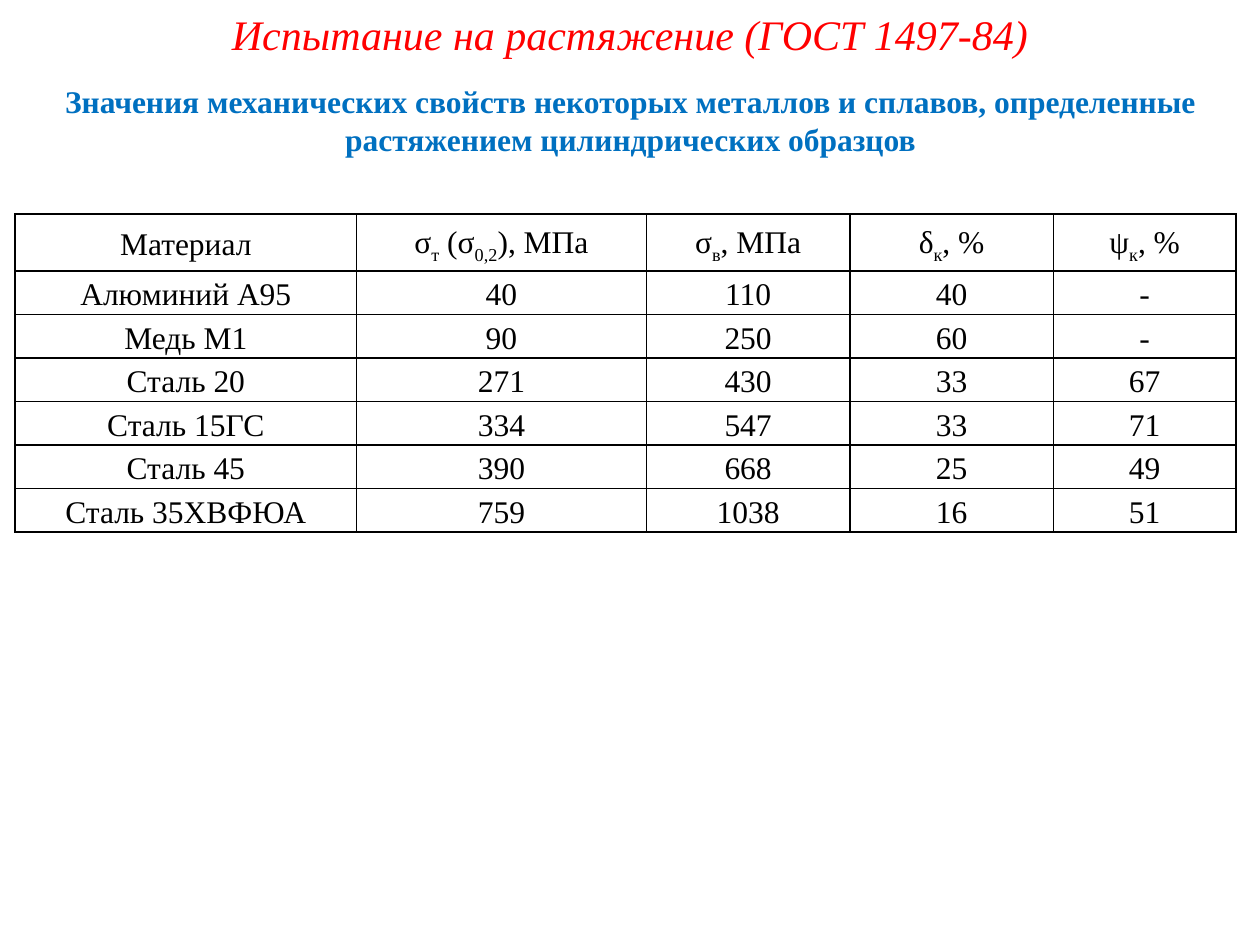
from lxml import etree
from pptx import Presentation
from pptx.dml.color import RGBColor
from pptx.enum.text import MSO_ANCHOR, PP_ALIGN
from pptx.oxml.ns import qn
from pptx.util import Pt

CENTER = PP_ALIGN.CENTER
MIDDLE = MSO_ANCHOR.MIDDLE
FONT_NAME = "Times New Roman"
RED = RGBColor(0xFF, 0x00, 0x00)
BLUE = RGBColor(0x00, 0x70, 0xC0)
BLACK = RGBColor(0x00, 0x00, 0x00)
WHITE = RGBColor(0xFF, 0xFF, 0xFF)

SUBSCRIPT_MARK = "|"
COLUMN_WIDTHS = (195.12, 165.6, 116.28, 116.28, 104.4)
HEADER_HEIGHT = 32.4
ROW_HEIGHT = 24.84
ROWS = (
    ("Материал", "σ|т| (σ|0,2|), МПа", "σ|в|, МПа", "δ|к|, %", "ψ|к|, %"),
    ("Алюминий А95", "40", "110", "40", "-"),
    ("Медь М1", "90", "250", "60", "-"),
    ("Сталь 20", "271", "430", "33", "67"),
    ("Сталь 15ГС", "334", "547", "33", "71"),
    ("Сталь 45", "390", "668", "25", "49"),
    ("Сталь 35ХВФЮА", "759", "1038", "16", "51"),
)


def format_font(font, size, color, bold=False, italic=False):
    font.name = FONT_NAME
    font.size = Pt(size)
    font.color.rgb = color
    font.bold = bold
    font.italic = italic


def add_heading(slide, text, left, top, width, height, size, color, **style):
    box = slide.shapes.add_textbox(Pt(left), Pt(top), Pt(width), Pt(height))
    box.text_frame.word_wrap = True
    box.text_frame.text = text
    paragraph = box.text_frame.paragraphs[0]
    paragraph.alignment = CENTER
    format_font(paragraph.runs[0].font, size, color, **style)


def add_borders(cell):
    properties = cell._tc.get_or_add_tcPr()
    for side in ("a:lnL", "a:lnR", "a:lnT", "a:lnB"):
        line = etree.SubElement(properties, qn(side), w=str(Pt(1)))
        fill = etree.SubElement(line, qn("a:solidFill"))
        etree.SubElement(fill, qn("a:srgbClr"), val=str(BLACK))


def fill_cell(cell, text):
    add_borders(cell)
    cell.fill.solid()
    cell.fill.fore_color.rgb = WHITE
    cell.vertical_anchor = MIDDLE
    cell.margin_left = cell.margin_right = Pt(2.16)
    cell.margin_top = cell.margin_bottom = Pt(0)
    paragraph = cell.text_frame.paragraphs[0]
    paragraph.alignment = CENTER
    paragraph.line_spacing = 1.15
    for index, part in enumerate(text.split(SUBSCRIPT_MARK)):
        run = paragraph.add_run()
        run.text = part
        format_font(run.font, 18, BLACK)
        if index % 2:
            run.font._element.set("baseline", "-25000")


def add_properties_table(slide, left, top):
    height = HEADER_HEIGHT + ROW_HEIGHT * (len(ROWS) - 1)
    frame = slide.shapes.add_table(
        len(ROWS), len(COLUMN_WIDTHS),
        Pt(left), Pt(top), Pt(sum(COLUMN_WIDTHS)), Pt(height),
    )
    table = frame.table
    table.first_row = False
    table.horz_banding = False
    for column, width in zip(table.columns, COLUMN_WIDTHS):
        column.width = Pt(width)
    for index, (row, texts) in enumerate(zip(table.rows, ROWS)):
        row.height = Pt(ROW_HEIGHT if index else HEADER_HEIGHT)
        for cell, text in zip(row.cells, texts):
            fill_cell(cell, text)


def main():
    presentation = Presentation()
    presentation.slide_width = Pt(720)
    presentation.slide_height = Pt(540)
    slide = presentation.slides.add_slide(presentation.slide_layouts[6])
    add_heading(
        slide,
        "Значения механических свойств некоторых металлов и сплавов, "
        "определенные растяжением цилиндрических образцов",
        14.4, 43.2, 691.92, 51.12, 18, BLUE, bold=True,
    )
    add_heading(
        slide, "Испытание на растяжение (ГОСТ 1497-84)",
        48.24, 1.44, 623.52, 36, 24, RED, italic=True,
    )
    add_properties_table(slide, 8.64, 122.4)
    presentation.save("out.pptx")


if __name__ == "__main__":
    main()
